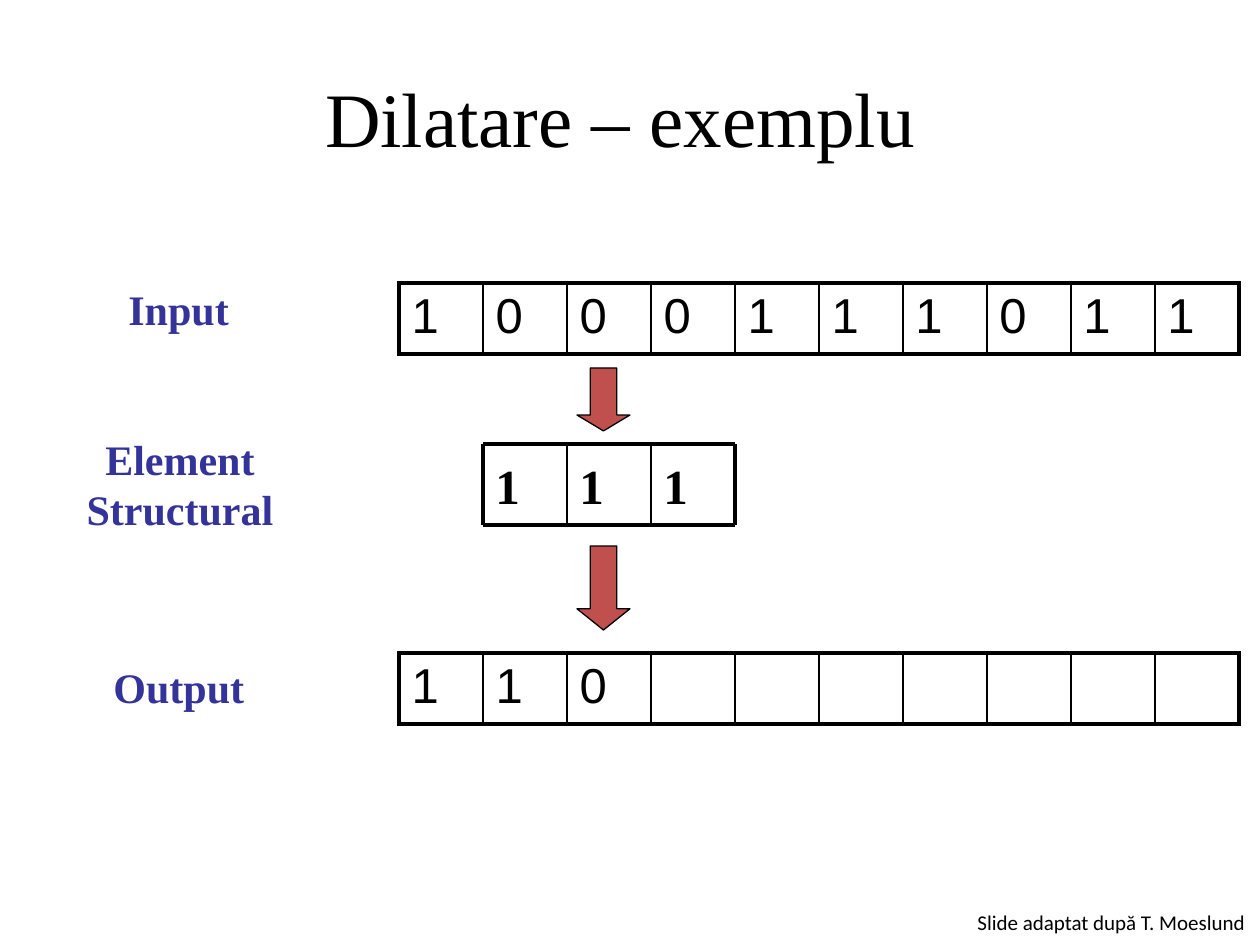
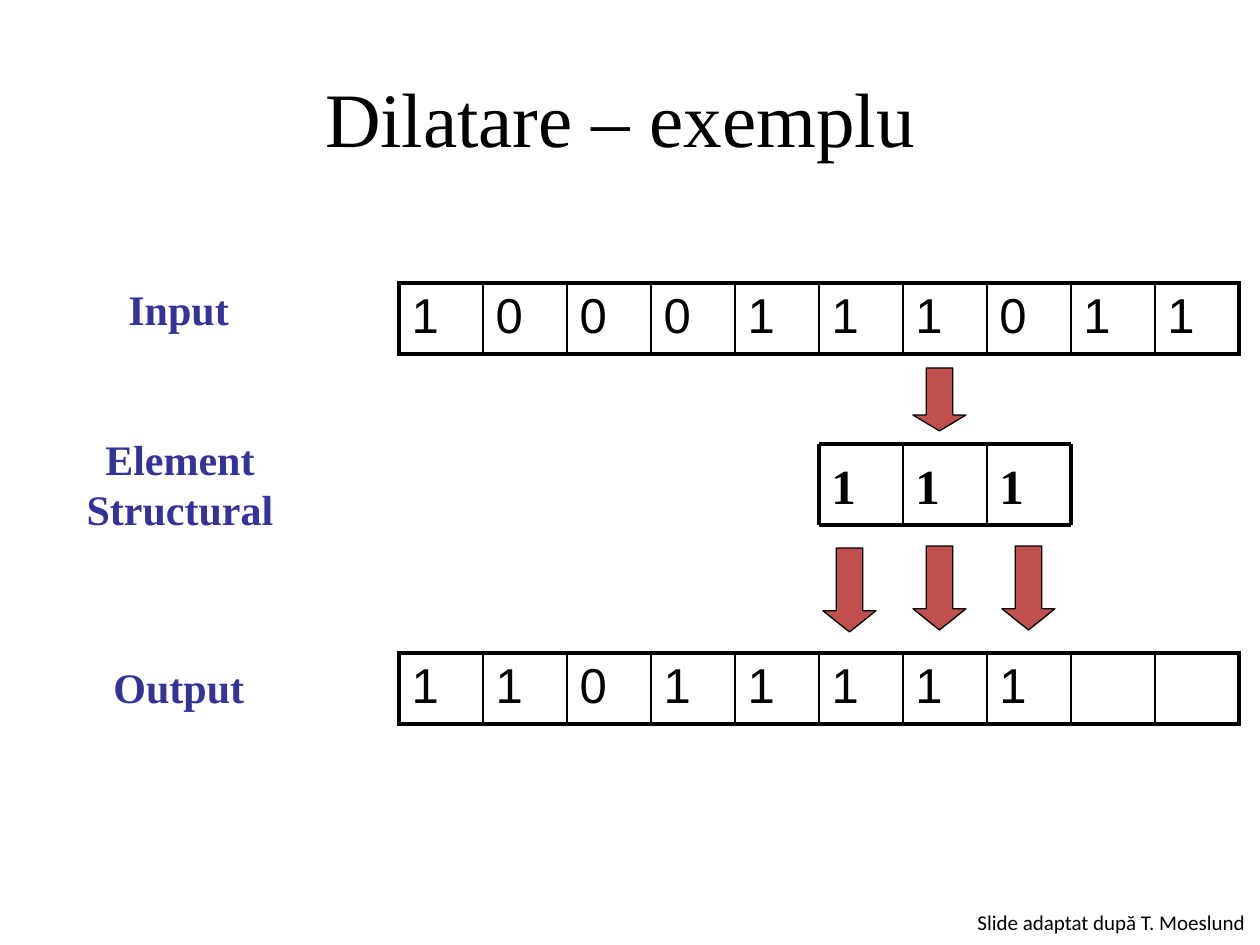
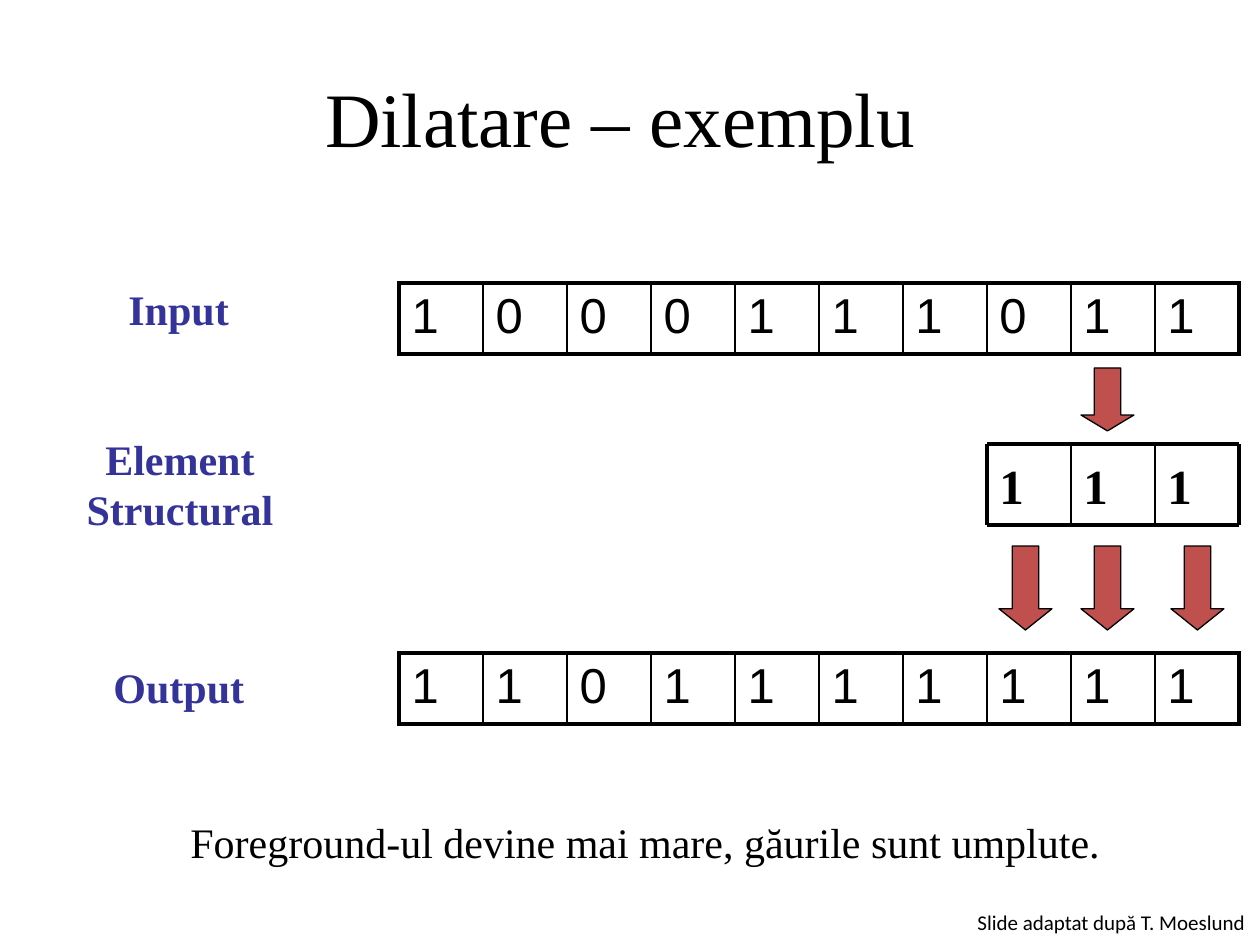
from lxml.etree import SubElement
from pptx import Presentation
from pptx.dml.color import RGBColor
from pptx.enum.shapes import MSO_CONNECTOR, MSO_SHAPE
from pptx.enum.text import MSO_ANCHOR, MSO_AUTO_SIZE, PP_ALIGN
from pptx.oxml.ns import qn
from pptx.util import Emu, Pt

BLACK = RGBColor(0x00, 0x00, 0x00)
INDIGO = RGBColor(0x33, 0x33, 0x99)
RED = RGBColor(0xC0, 0x50, 0x4D)
SERIF, SANS, FOOTER_FONT = "Times New Roman", "Arial", "Calibri"
THICK, THIN = 2.25, 1

CELL = 84
ROW_LEFT, ROW_HEIGHT = 399, 71
INPUT_TOP, OUTPUT_TOP = 283, 653
ELEMENT_TOP, ELEMENT_HEIGHT, ELEMENT_CELLS = 444, 81, 3
ARROW_WIDTH, ARROW_DX = 53, 94
LOWER_ARROW_TOP = 546

INPUT = "1000111011"
# Output so far, first column under the element, side arrows as (dx, top), caption
STEPS = [
    ("110", 1, [], None),
    ("11011111", 5, [(4, 548), (183, LOWER_ARROW_TOP)], None),
    ("1101111111", 7, [(12, LOWER_ARROW_TOP), (184, LOWER_ARROW_TOP)],
     "Foreground-ul devine mai mare, găurile sunt umplute."),
]


def px(n):
    return Emu(round(n * 914400 / 126))


def box(*lengths):
    return [px(n) for n in lengths]


def write(tf, text, font=SERIF, size=24, color=BLACK, bold=False,
          align=PP_ALIGN.LEFT, spacing=None):
    """Fill a text frame, one paragraph for each line of text."""
    for i, line in enumerate(text.split("\n")):
        p = tf.paragraphs[0] if i == 0 else tf.add_paragraph()
        p.alignment = align
        if spacing:
            p.line_spacing = spacing
        r = p.add_run()
        r.text = line
        f = r.font
        f.name, f.size, f.bold = font, Pt(size), bold
        f.color.rgb = color


def add_label(shapes, text, at, **fmt):
    tf = shapes.add_textbox(*box(*at)).text_frame
    tf.word_wrap = False
    tf.auto_size = MSO_AUTO_SIZE.SHAPE_TO_FIT_TEXT
    write(tf, text, **fmt)


def add_title(s, text):
    title = s.shapes.title
    title.left, title.top, title.width, title.height = box(63, 38, 1134, 157)
    title.text_frame.vertical_anchor = MSO_ANCHOR.MIDDLE
    write(title.text_frame, text, size=44, align=PP_ALIGN.CENTER)


def set_borders(cell, **widths):
    tc_pr = cell._tc.get_or_add_tcPr()
    for side, width in widths.items():
        ln = SubElement(tc_pr, qn(f"a:ln{side}"), w=str(Pt(width)))
        fill = SubElement(ln, qn("a:solidFill"))
        SubElement(fill, qn("a:srgbClr"), val=str(BLACK))


def add_bit_row(s, bits, top):
    n = len(INPUT)
    table = s.shapes.add_table(
        1, n, *box(ROW_LEFT, top, n * CELL, ROW_HEIGHT)).table
    table.first_row = table.horz_banding = False
    for i, bit in enumerate(bits.ljust(n)):
        table.columns[i].width = px(CELL)
        cell = table.cell(0, i)
        set_borders(cell, L=THICK if i == 0 else THIN,
                    R=THICK if i == n - 1 else THIN, T=THICK, B=THICK)
        cell.fill.background()
        if bit.strip():
            write(cell.text_frame, bit, font=SANS, size=28)


def add_line(shapes, x1, y1, x2, y2, width):
    line = shapes.add_connector(MSO_CONNECTOR.STRAIGHT, *box(x1, y1, x2, y2))
    line.line.color.rgb = BLACK
    line.line.width = Pt(width)
    SubElement(line._element.spPr, qn("a:effectLst"))


def add_element(s, left):
    """Draw the structuring element as a group of digits and grid lines."""
    shapes = s.shapes.add_group_shape().shapes
    right = left + ELEMENT_CELLS * CELL
    bottom = ELEMENT_TOP + ELEMENT_HEIGHT
    for x in range(left, right, CELL):
        tf = shapes.add_textbox(
            *box(x, ELEMENT_TOP, CELL, ELEMENT_HEIGHT)).text_frame
        tf.word_wrap = True
        tf.vertical_anchor = MSO_ANCHOR.MIDDLE
        write(tf, "1", size=28, bold=True)
    for y in (ELEMENT_TOP, bottom):
        add_line(shapes, left, y, right, y, THICK)
    for x in range(left, right + 1, CELL):
        add_line(shapes, x, ELEMENT_TOP, x, bottom,
                 THICK if x in (left, right) else THIN)


def add_arrow(s, left, top, height=84, head=0.4):
    sp = s.shapes.add_shape(MSO_SHAPE.DOWN_ARROW,
                            *box(left, top, ARROW_WIDTH, height))
    sp.shadow.inherit = False
    sp.adjustments[0], sp.adjustments[1] = 0.5, head
    sp.fill.solid()
    sp.fill.fore_color.rgb = RED
    sp.line.color.rgb = BLACK
    sp.line.width = Pt(0.75)


def add_step(prs, output, column, side_arrows, caption):
    s = prs.slides.add_slide(prs.slide_layouts[5])
    add_title(s, "Dilatare – exemplu ")
    add_bit_row(s, INPUT, INPUT_TOP)
    add_bit_row(s, output, OUTPUT_TOP)

    left = ROW_LEFT + column * CELL
    add_element(s, left)
    add_arrow(s, left + ARROW_DX, 368, height=63, head=0.3)
    for dx, top in [(ARROW_DX, LOWER_ARROW_TOP)] + side_arrows:
        add_arrow(s, left + dx, top)

    heading = dict(color=INDIGO, bold=True)
    add_label(s.shapes, "Input", (116, 277, 127, 63), **heading)
    add_label(s.shapes, "Element\nStructural", (73, 427, 214, 115),
              align=PP_ALIGN.CENTER, **heading)
    add_label(s.shapes, "Output", (101, 655, 157, 63), **heading)
    if caption:
        add_label(s.shapes, caption, (178, 785, 944, 84), spacing=1.5)
    add_label(s.shapes, "Slide adaptat după T. Moeslund",
              (965, 903, 299, 38), font=FOOTER_FONT, size=12)


def main():
    prs = Presentation()
    prs.slide_width, prs.slide_height = box(1260, 945)
    for step in STEPS:
        add_step(prs, *step)
    prs.save("out.pptx")


if __name__ == "__main__":
    main()
